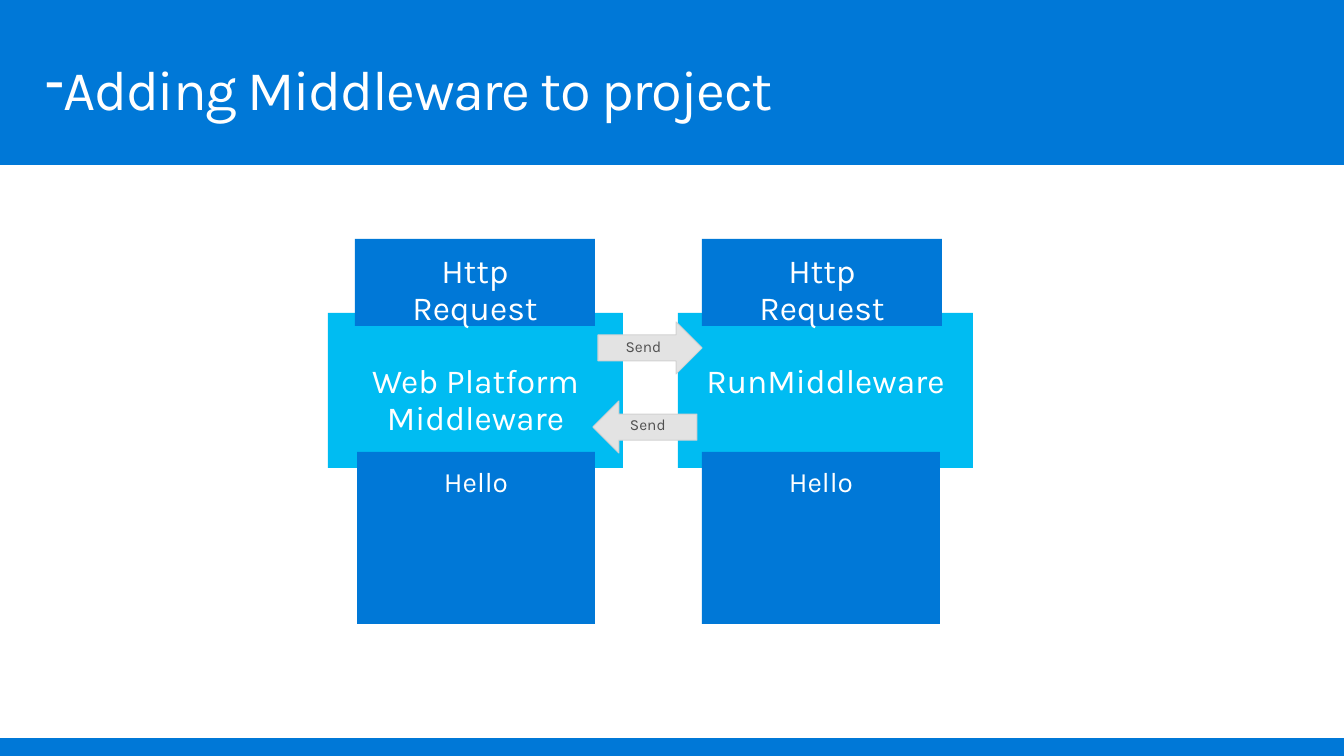
import pptx
import pptx.util
import pptx.dml.color
import pptx.enum.shapes
import pptx.enum.text
import lxml.etree

PX = 914400 / 100.8
FONT = "Karla"
COLOURS = {
    "blue": "0078D7",
    "cyan": "00BCF2",
    "white": "FFFFFF",
    "grey": "E3E3E3",
    "edge": "D2D2D2",
    "ink": "505050",
}
SHAPES = pptx.enum.shapes.MSO_SHAPE
ALIGN = pptx.enum.text.PP_ALIGN
ANCHOR = pptx.enum.text.MSO_ANCHOR


def px(length):
    return pptx.util.Emu(round(length * PX))


def rgb(name):
    return pptx.dml.color.RGBColor.from_string(COLOURS[name])


def write(box, text, size, colour, align=ALIGN.CENTER, anchor=ANCHOR.TOP,
          insets=(20, 16), drop=0, spacing=0.9):
    """Fill the box with one paragraph, moved down by drop px; return it."""
    frame = box.text_frame
    frame.word_wrap = True
    frame.auto_size = pptx.enum.text.MSO_AUTO_SIZE.NONE
    frame.vertical_anchor = anchor
    frame.margin_left = frame.margin_right = px(insets[0])
    frame.margin_top = px(insets[1] + drop)
    frame.margin_bottom = px(insets[1])
    para = frame.paragraphs[0]
    para.alignment = align
    para.line_spacing = spacing
    span = para.add_run()
    span.text = text
    span.font.name = FONT
    span.font.size = pptx.util.Pt(size)
    span.font.color.rgb = rgb(colour)
    return para


def add_block(page, bounds, fill, kind=SHAPES.RECTANGLE):
    block = page.shapes.add_shape(kind, *map(px, bounds))
    block.shadow.inherit = False
    block.fill.solid()
    block.fill.fore_color.rgb = rgb(fill)
    block.line.fill.background()
    return block


def add_arrow(page, left, top):
    arrow = add_block(page, (left, top, 104, 52), "grey", SHAPES.RIGHT_ARROW)
    arrow.line.color.rgb = rgb("edge")
    arrow.line.width = pptx.util.Pt(0.75)
    return arrow


def set_title(page, text):
    title = page.shapes.title
    title.left, title.top, title.width, title.height = map(px, (29, 11, 1285, 99))
    para = write(title, text, 40, "white", ALIGN.LEFT, insets=(16, 10), spacing=1.5)
    para.runs[0].font._element.set("spc", "-100")
    properties = para._p.get_or_add_pPr()
    properties.set("marL", "0")
    properties.set("indent", "0")
    bullet = lxml.etree.SubElement(properties, pptx.oxml.ns.qn("a:buChar"))
    bullet.set("char", "-")


def main():
    deck = pptx.Presentation()
    deck.slide_width, deck.slide_height = px(1344), px(756)
    page = deck.slides.add_slide(deck.slide_layouts[5])
    page.background.fill.solid()
    page.background.fill.fore_color.rgb = rgb("blue")
    add_block(page, (0, 165, 1344, 573), "white")
    set_title(page, "Adding Middleware to project")

    columns = [
        ("Web Platform Middleware", 328, 355, 357),
        ("RunMiddleware", 678, 702, 702),
    ]
    for name, middle_left, request_left, hello_left in columns:
        middle = add_block(page, (middle_left, 313, 295, 155), "cyan")
        write(middle, name, 24, "white", drop=36)
        request = add_block(page, (request_left, 239, 240, 87), "blue")
        write(request, "Http Request", 24, "white")
        hello = add_block(page, (hello_left, 452, 238, 172), "blue")
        write(hello, "Hello", 20, "white")

    forward = add_arrow(page, 598, 322)
    write(forward, "Send", 11, "ink", anchor=ANCHOR.MIDDLE)
    back = add_arrow(page, 593, 401)
    back.rotation = 180
    label = page.shapes.add_textbox(*map(px, (610, 401, 246, 50)))
    write(label, "Send", 11, "ink", ALIGN.LEFT)

    deck.save("out.pptx")


if __name__ == "__main__":
    main()
